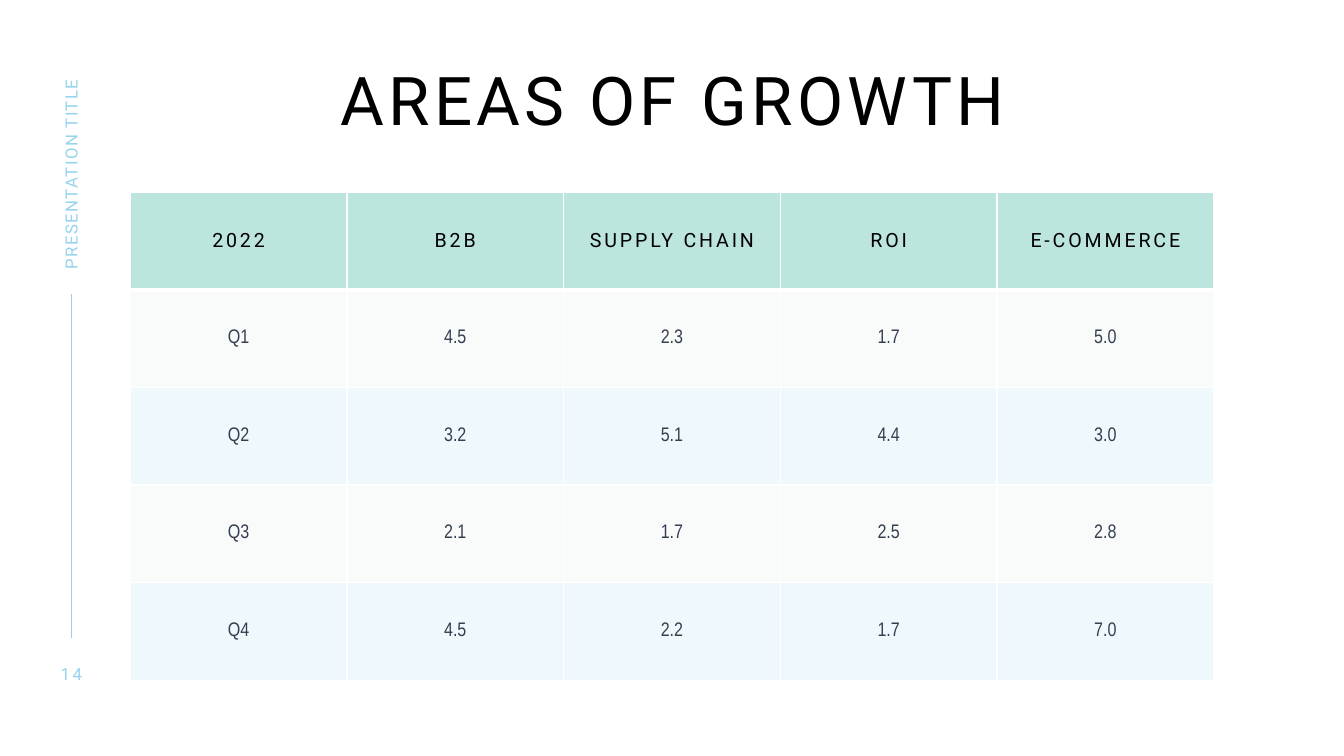
from lxml import etree
from pptx import Presentation
from pptx import util as u
from pptx.dml.color import RGBColor
from pptx.enum import shapes, text
from pptx.oxml.ns import qn

PX = 9525
BLACK = RGBColor(0x00, 0x00, 0x00)
WHITE = RGBColor(0xFF, 0xFF, 0xFF)
SKY = RGBColor(0x96, 0xD3, 0xED)
MINT = RGBColor(0xBC, 0xE5, 0xDD)
MIST = RGBColor(0xC7, 0xDB, 0xE1)
SLATE = RGBColor(0x33, 0x3F, 0x50)

HEAD = {"size": 48, "name": "Roboto", "color": BLACK, "gap": 3}
SIDE = {"size": 12, "name": "Roboto", "color": SKY, "gap": 1}
PAGE = {**SIDE, "gap": 2}
LABEL = {"size": 14, "name": "Roboto", "color": BLACK, "gap": 2}
VALUE = {"size": 14, "name": "Arial Narrow", "color": SLATE, "gap": 0}

LEFT, CENTER = text.PP_ALIGN.LEFT, text.PP_ALIGN.CENTER
TOP, MIDDLE = text.MSO_ANCHOR.TOP, text.MSO_ANCHOR.MIDDLE

GROWTH = [
    ["2022", "B2B", "SUPPLY CHAIN", "ROI", "E-COMMERCE"],
    ["Q1", "4.5", "2.3", "1.7", "5.0"],
    ["Q2", "3.2", "5.1", "4.4", "3.0"],
    ["Q3", "2.1", "1.7", "2.5", "2.8"],
    ["Q4", "4.5", "2.2", "1.7", "7.0"],
]


class Deck:
    def __init__(self, wide, high):
        self.prs = Presentation()
        self.prs.slide_width = wide * PX
        self.prs.slide_height = high * PX
        self.slide = self.prs.slides.add_slide(self.prs.slide_layouts[5])

    def words(self, frame, words, style, align):
        para = frame.paragraphs[0]
        para.alignment = align
        run = para.add_run()
        run.text = words
        for key, val in {"size": u.Pt(style["size"]), "name": style["name"], "bold": False}.items():
            setattr(run.font, key, val)
        run.font.color.rgb = style["color"]
        run.font._element.set("spc", str(style["gap"] * 100))
        return para

    def fit(self, shape, box, words, style, align, anchor):
        for key, val in zip(("left", "top", "width", "height"), box):
            setattr(shape, key, val * PX)
        frame = shape.text_frame
        form = {"margin_left": 0, "margin_top": 0, "margin_right": 0, "margin_bottom": 0,
                "word_wrap": True, "auto_size": text.MSO_AUTO_SIZE.NONE, "vertical_anchor": anchor}
        for key, val in form.items():
            setattr(frame, key, val)
        return self.words(frame, words, style, align)

    def title(self, box, words, style):
        para = self.fit(self.slide.shapes.title, box, words, style, CENTER, TOP)
        para.line_spacing = 0.9

    def label(self, box, words, style, align, turn=0):
        shape = self.slide.shapes.add_textbox(0, 0, 0, 0)
        shape.rotation = turn
        self.fit(shape, box, words, style, align, MIDDLE)

    def line(self, ends, color):
        line = self.slide.shapes.add_connector(
            shapes.MSO_CONNECTOR.STRAIGHT, *(end * PX for end in ends))
        line.line.color.rgb = color
        line.line.width = u.Pt(1)
        etree.SubElement(line._element.spPr, qn("a:effectLst"))

    def edge(self, cell, side, width):
        edge = etree.SubElement(cell._tc.get_or_add_tcPr(), qn("a:ln" + side), w=str(int(u.Pt(width))))
        fill = etree.SubElement(edge, qn("a:solidFill"))
        etree.SubElement(fill, qn("a:srgbClr"), val=str(WHITE))

    def paint(self, cell, color, alpha):
        cell.fill.solid()
        cell.fill.fore_color.rgb = color
        if alpha < 100:
            tone = cell._tc.tcPr.find(qn("a:solidFill"))[0]
            etree.SubElement(tone, qn("a:alpha"), val=str(alpha * 1000))

    def table(self, box, rows):
        table = self.slide.shapes.add_table(
            len(rows), len(rows[0]), *(size * PX for size in box)).table
        table.first_row = table.horz_banding = False
        for r, row in enumerate(rows):
            style = VALUE if r else LABEL
            tint = ((SKY, 15), (MIST, 10))[r % 2] if r else (MINT, 100)
            for c, words in enumerate(row):
                cell = table.cell(r, c)
                cell.vertical_anchor = MIDDLE
                self.words(cell.text_frame, words, style, CENTER)
                for side in "LRTB":
                    thick = (r, side) in ((0, "B"), (1, "T"))
                    self.edge(cell, side, 3 if thick else 1)
                self.paint(cell, *tint)


def main():
    deck = Deck(1280, 720)
    deck.line((68, 280, 68, 608), SKY)
    deck.title((125, 64, 1032, 96), "AREAS OF GROWTH", HEAD)
    deck.label((-26, 153, 187, 20), "PRESENTATION TITLE", SIDE, LEFT, 270)
    deck.label((44, 632, 48, 19), "14", PAGE, CENTER)
    deck.table((124, 183, 1032, 465), GROWTH)
    deck.prs.save("out.pptx")


if __name__ == "__main__":
    main()
